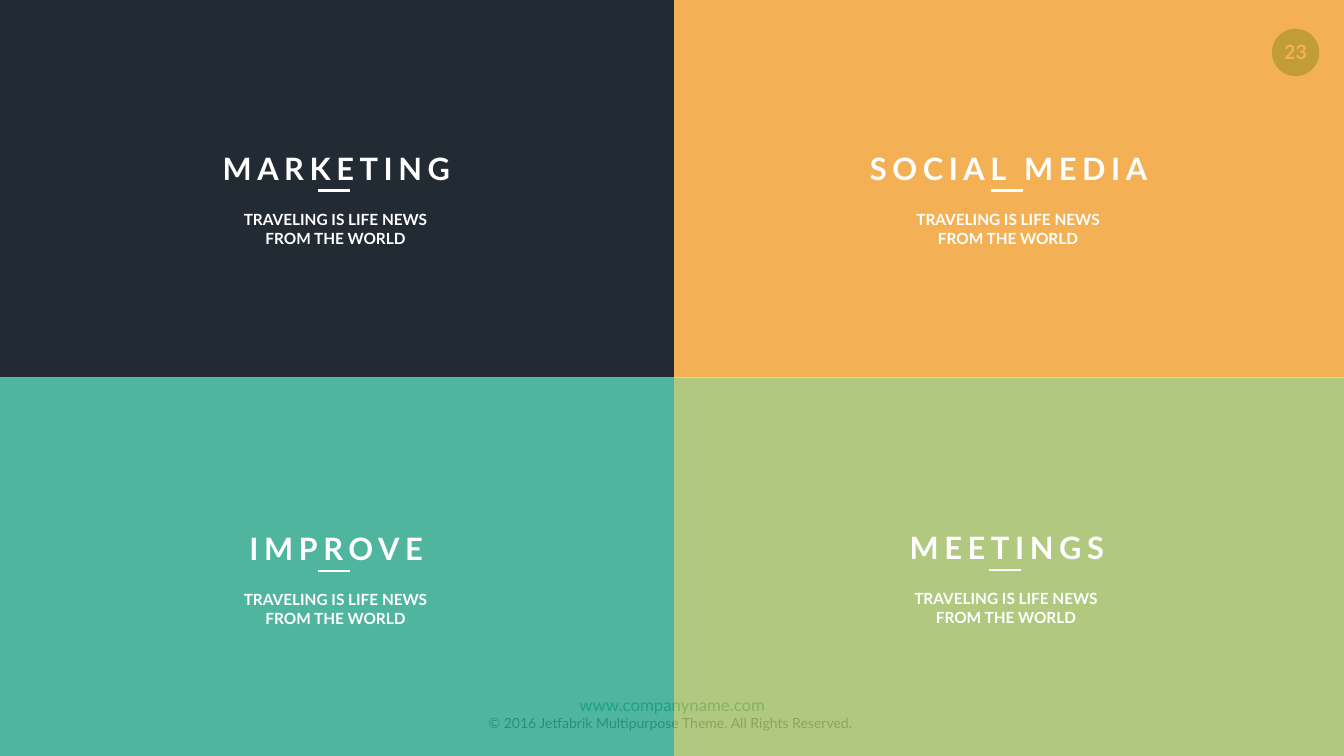
from dataclasses import dataclass
from typing import Optional

from lxml.etree import SubElement
from pptx import Presentation
from pptx.dml.color import RGBColor
from pptx.enum.shapes import MSO_CONNECTOR as Connector, MSO_SHAPE as Shape
from pptx.enum.text import MSO_ANCHOR as Anchor, MSO_AUTO_SIZE as AutoSize, PP_ALIGN as Align
from pptx.oxml.ns import qn
from pptx.util import Emu, Pt

PX = 9144
WIDTH, HEIGHT = 2666, 1500
SPLIT_X, SPLIT_Y = 1337, 749


@dataclass(frozen=True)
class Theme:
    """Colours, font and type sizes of the slide."""
    font: str = "Lato"
    white: str = "FFFFFF"
    navy: str = "222A34"
    orange: str = "F29B26"
    green: str = "1EA185"
    lime: str = "9BBB5C"
    slate: str = "445469"
    heading: int = 44
    number: int = 28
    caption: int = 22
    address: int = 24
    copyright: int = 20
    tint: int = 78


@dataclass(frozen=True)
class Box:
    """A rectangle in px."""
    left: int
    top: int
    width: int
    height: int

    def emu(self) -> tuple[Emu, ...]:
        """Return the four lengths in EMU."""
        return tuple(Emu(n * PX) for n in (self.left, self.top, self.width, self.height))


@dataclass(frozen=True)
class Line:
    """One paragraph of text and its format."""
    text: str
    size: int
    color: str
    bold: bool = True
    leading: Optional[float] = None
    tracking: int = 0


@dataclass(frozen=True)
class Panel:
    """A coloured quarter with its heading, rule and caption."""
    heading: str
    heading_width: int
    area: Box
    color: str
    center: int
    rule_y: int
    opacity: int = 100


THEME = Theme()
CAPTION = ("TRAVELING IS LIFE NEWS", "FROM THE WORLD")
RIGHT_WIDTH, LOWER_HEIGHT = WIDTH - SPLIT_X, HEIGHT - SPLIT_Y
PANELS = (
    Panel("IMPROVE", 366, Box(0, SPLIT_Y, SPLIT_X, LOWER_HEIGHT), THEME.green, 663, 1133, THEME.tint),
    Panel("MEETINGS", 403, Box(SPLIT_X, SPLIT_Y, RIGHT_WIDTH, LOWER_HEIGHT), THEME.lime, 1993, 1131, THEME.tint),
    Panel("SOCIAL MEDIA", 574, Box(SPLIT_X, 0, RIGHT_WIDTH, SPLIT_Y), THEME.orange, 1997, 378, THEME.tint),
    Panel("MARKETING", 473, Box(0, 0, SPLIT_X, SPLIT_Y), THEME.navy, 663, 378),
)


def write(frame, lines: tuple[Line, ...]) -> None:
    """Fill a text frame with centred paragraphs."""
    for index, line in enumerate(lines):
        para = frame.add_paragraph() if index else frame.paragraphs[0]
        para.alignment = Align.CENTER
        if line.leading:
            para.line_spacing = Pt(line.leading)
        span = para.add_run()
        span.text = line.text
        span.font.name = THEME.font
        span.font.size = Pt(line.size)
        span.font.bold = line.bold
        span.font.color.rgb = RGBColor.from_string(line.color)
        if line.tracking:
            span.font._element.set("spc", str(line.tracking * 100))


def add_text(page, box: Box, lines: tuple[Line, ...], inset: tuple[int, int] = (10, 5),
             wrap: bool = True, anchor: Anchor = Anchor.TOP) -> None:
    """Add a text box that grows with its text."""
    frame = page.shapes.add_textbox(*box.emu()).text_frame
    frame.word_wrap = wrap
    frame.auto_size = AutoSize.SHAPE_TO_FIT_TEXT
    frame.vertical_anchor = anchor
    frame.margin_left = frame.margin_right = Emu(inset[0] * PX)
    frame.margin_top = frame.margin_bottom = Emu(inset[1] * PX)
    write(frame, lines)


def add_fill(page, kind: Shape, box: Box, color: str, opacity: int = 100):
    """Add a borderless shape with a solid, optionally translucent fill."""
    shape = page.shapes.add_shape(kind, *box.emu())
    shape.shadow.inherit = False
    shape.fill.solid()
    shape.fill.fore_color.rgb = RGBColor.from_string(color)
    shape.line.fill.background()
    if opacity < 100:
        tone = shape.element.spPr.find(qn("a:solidFill"))[0]
        SubElement(tone, qn("a:alpha")).set("val", str(opacity * 1000))
    return shape


def add_rule(page, center: int, y: int, width: int = 64) -> None:
    """Add the short white rule under a heading."""
    left = center - width // 2
    ends = (Emu(n * PX) for n in (left, y, left + width, y))
    rule = page.shapes.add_connector(Connector.STRAIGHT, *ends)
    rule.line.color.rgb = RGBColor.from_string(THEME.white)
    rule.line.width = Pt(3)
    SubElement(rule._element.spPr, qn("a:effectLst"))


def add_panel_text(page, panel: Panel) -> None:
    """Add the rule, heading and caption of one panel."""
    add_rule(page, panel.center, panel.rule_y)
    heading_left = panel.center + 4 - panel.heading_width // 2
    add_text(page, Box(heading_left, panel.rule_y - 112, panel.heading_width, 104),
             (Line(panel.heading, THEME.heading, THEME.white, leading=74, tracking=8),),
             inset=(0, 0), wrap=False, anchor=Anchor.MIDDLE)
    add_text(page, Box(panel.center - 235, panel.rule_y + 33, 475, 86),
             tuple(Line(text, THEME.caption, THEME.white, leading=26.8) for text in CAPTION))


def add_footer(page) -> None:
    """Add the web address and copyright line."""
    add_text(page, Box(852, 1368, 963, 94), (
        Line("www.companyname.com", THEME.address, THEME.green, bold=False),
        Line("© 2016 Jetfabrik Multipurpose Theme. All Rights Reserved. ",
             THEME.copyright, THEME.slate, bold=False),
    ), inset=(20, 10))


def add_page_number(page) -> None:
    """Add the round page number."""
    badge = add_fill(page, Shape.OVAL, Box(2523, 57, 94, 94), THEME.green)
    frame = badge.text_frame
    frame.word_wrap = False
    frame.vertical_anchor = Anchor.MIDDLE
    frame.margin_left = frame.margin_right = frame.margin_top = Emu(0)
    frame.margin_bottom = Emu(4 * PX)
    write(frame, (Line("23", THEME.number, THEME.white),))


def main() -> None:
    """Build and save the slide."""
    deck = Presentation()
    deck.slide_width, deck.slide_height = Emu(WIDTH * PX), Emu(HEIGHT * PX)
    page = deck.slides.add_slide(deck.slide_layouts.get_by_name("Blank"))
    add_footer(page)
    add_page_number(page)
    for panel in PANELS:
        add_fill(page, Shape.RECTANGLE, panel.area, panel.color, panel.opacity)
    for panel in PANELS:
        add_panel_text(page, panel)
    deck.save("out.pptx")


if __name__ == "__main__":
    main()
